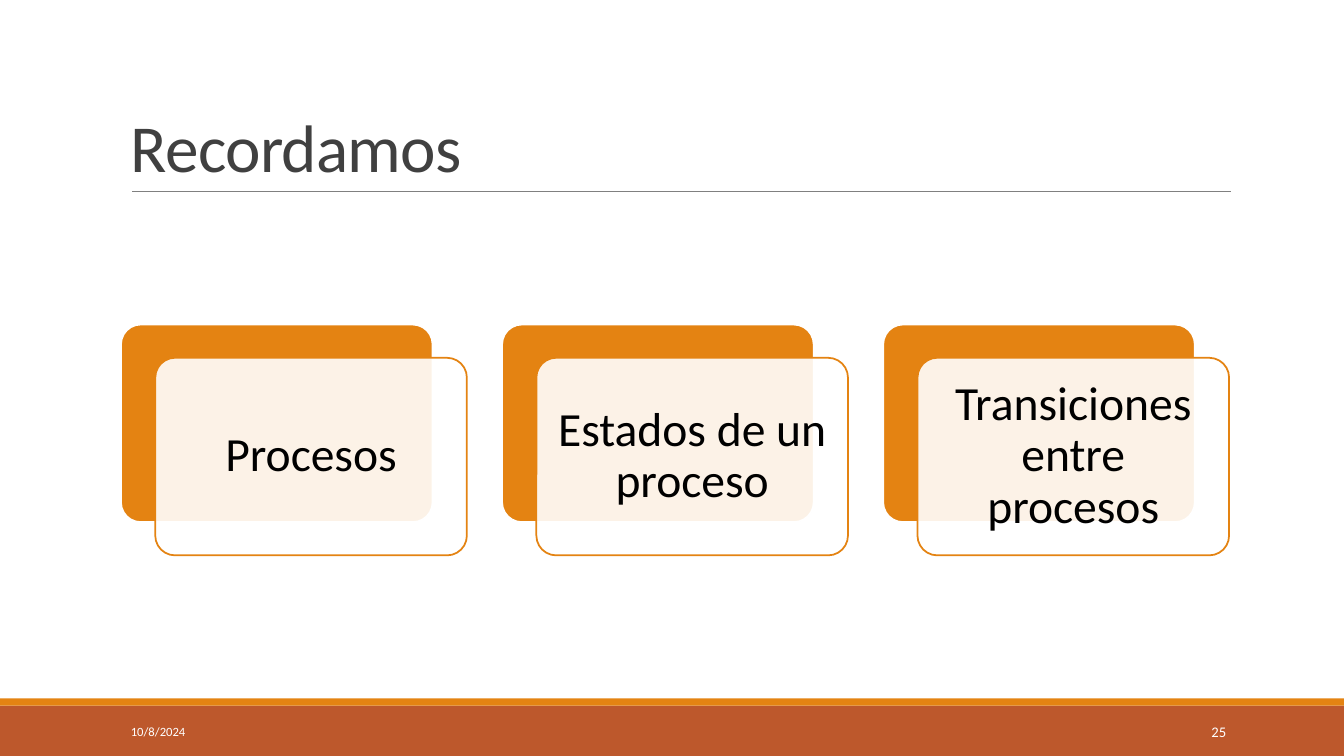
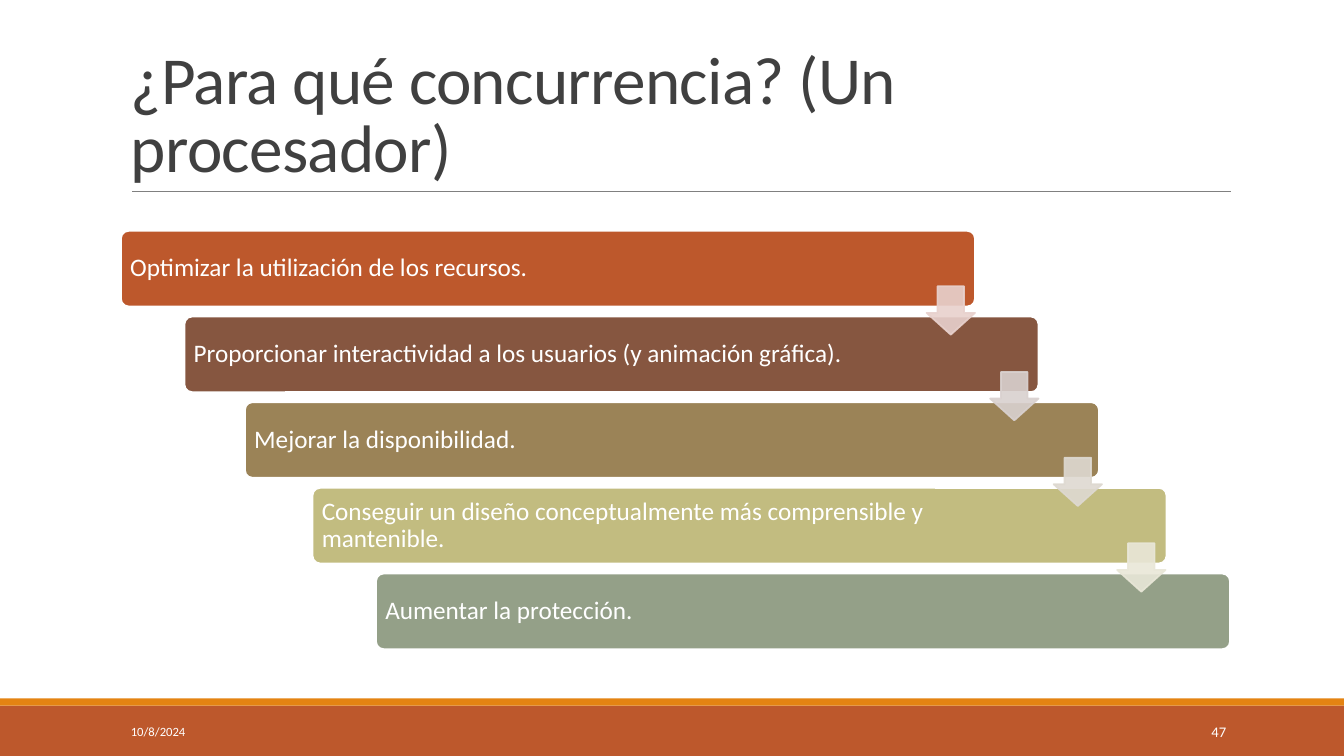
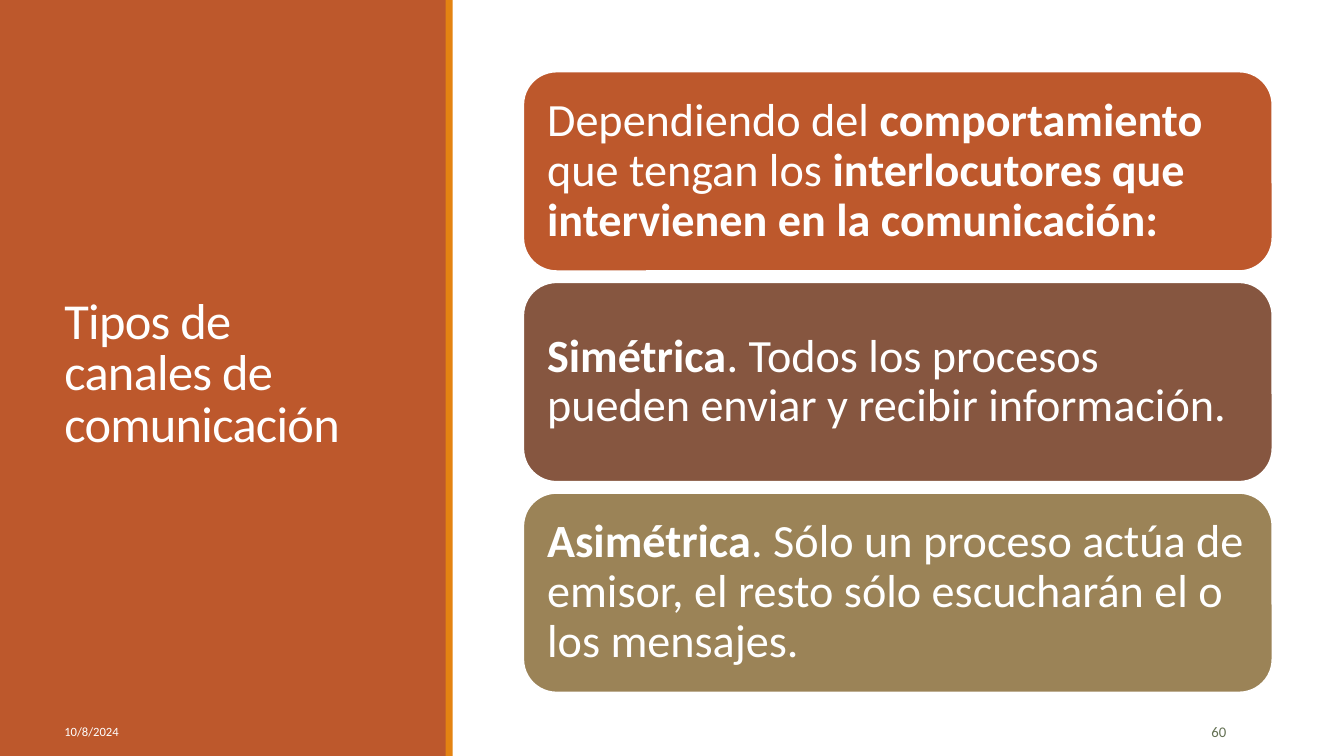
from dataclasses import dataclass

from lxml import etree
from pptx import Presentation
from pptx.dml.color import RGBColor
from pptx.enum.shapes import MSO_CONNECTOR, MSO_SHAPE
from pptx.enum.text import MSO_ANCHOR, PP_ALIGN
from pptx.oxml.ns import qn
from pptx.util import Inches, Pt

RECTANGLE = MSO_SHAPE.RECTANGLE
ROUNDED = MSO_SHAPE.ROUNDED_RECTANGLE
DOWN_ARROW = MSO_SHAPE.DOWN_ARROW
STRAIGHT = MSO_CONNECTOR.STRAIGHT
MIDDLE, BOTTOM = MSO_ANCHOR.MIDDLE, MSO_ANCHOR.BOTTOM
LEFT, CENTER, RIGHT = PP_ALIGN.LEFT, PP_ALIGN.CENTER, PP_ALIGN.RIGHT

FONT = "Calibri"
SLIDE_WIDTH, SLIDE_HEIGHT = 13.33, 7.5
DATE = "10/8/2024"
OUTLINE = 1.25
COLORS = {
    "white": "FFFFFF",
    "black": "000000",
    "title": "404040",
    "rule": "808080",
    "page": "637052",
    "orange": "E48312",
    "rust": "BD582C",
    "brown": "865640",
    "tan": "9B8357",
    "olive": "C2BC80",
    "sage": "94A088",
    "arrow_rust": "E8D1CD",
    "arrow_brown": "D9D1CF",
    "arrow_tan": "DED9D1",
    "arrow_olive": "E9E7D8",
}


@dataclass(frozen=True)
class Box:
    left: float
    top: float
    width: float
    height: float

    def lengths(self):
        return [Inches(value) for value in (self.left, self.top, self.width, self.height)]


@dataclass(frozen=True)
class TextStyle:
    size: float
    color: str
    align: PP_ALIGN = LEFT
    anchor: MSO_ANCHOR = MIDDLE
    line_spacing: float = 1.0
    tracking: int = 0


@dataclass(frozen=True)
class Run:
    text: str
    bold: bool = False


@dataclass(frozen=True)
class Step:
    left: float
    color: str
    text: str


@dataclass(frozen=True)
class Panel:
    color: str
    runs: tuple[Run, ...]


TITLE = TextStyle(48, "title", anchor=BOTTOM, line_spacing=0.85, tracking=-50)
SIDE_TITLE = TextStyle(36, "white", line_spacing=0.85, tracking=-50)
DATE_STYLE = TextStyle(9, "white")
CARD_STYLE = TextStyle(34, "black", CENTER, line_spacing=0.9)
STEP_STYLE = TextStyle(18, "white", line_spacing=0.9)
PANEL_STYLE = TextStyle(33, "white", line_spacing=0.9)

TOPICS = ("Procesos", "Estados de un proceso", "Transiciones entre procesos")
STEPS = (
    Step(1.2, "rust", "Optimizar la utilización de los recursos."),
    Step(1.83, "brown", "Proporcionar interactividad a los usuarios (y animación gráfica)."),
    Step(2.43, "tan", "Mejorar la disponibilidad."),
    Step(3.1, "olive", "Conseguir un diseño conceptualmente más comprensible y mantenible."),
    Step(3.73, "sage", "Aumentar la protección."),
)
ARROW_COLORS = ("arrow_rust", "arrow_brown", "arrow_tan", "arrow_olive")
PANELS = (
    Panel("rust", (
        Run("Dependiendo del "),
        Run("comportamiento ", True),
        Run("que tengan los "),
        Run("interlocutores que intervienen en la comunicación:", True),
    )),
    Panel("brown", (
        Run("Simétrica", True),
        Run(". Todos los procesos pueden enviar y recibir información."),
    )),
    Panel("tan", (
        Run("Asimétrica", True),
        Run(". Sólo un proceso actúa de emisor, el resto sólo escucharán el o los mensajes."),
    )),
)


def rgb(name: str) -> RGBColor:
    return RGBColor.from_string(COLORS[name])


def write(shape, runs: tuple[Run, ...], style: TextStyle, insets=(0.1, 0.05, 0.1, 0.05)) -> None:
    """Fill a shape with one paragraph; insets are left, top, right, bottom."""
    text_frame = shape.text_frame
    text_frame.word_wrap = True
    text_frame.vertical_anchor = style.anchor
    (text_frame.margin_left, text_frame.margin_top,
     text_frame.margin_right, text_frame.margin_bottom) = map(Inches, insets)
    paragraph = text_frame.paragraphs[0]
    paragraph.alignment = style.align
    paragraph.line_spacing = style.line_spacing
    for part in runs:
        run = paragraph.add_run()
        run.text = part.text
        run.font.name = FONT
        run.font.size = Pt(style.size)
        run.font.bold = part.bold
        run.font.color.rgb = rgb(style.color)
        if style.tracking:
            run.font._element.set("spc", str(style.tracking))


def add_text(slide, box: Box, text: str, style: TextStyle) -> None:
    write(slide.shapes.add_textbox(*box.lengths()), (Run(text),), style)


def set_opacity(shape, percent: int) -> None:
    """Apply one opacity to every solid colour of the shape."""
    for color in shape._element.spPr.iter(qn("a:srgbClr")):
        etree.SubElement(color, qn("a:alpha"), val=str(percent * 1000))


def add_block(slide, kind, box: Box, fill: str, line: str | None = None, adjustments=()):
    shape = slide.shapes.add_shape(kind, *box.lengths())
    shape.shadow.inherit = False
    shape.fill.solid()
    shape.fill.fore_color.rgb = rgb(fill)
    if line:
        shape.line.color.rgb = rgb(line)
        shape.line.width = Pt(OUTLINE)
    else:
        shape.line.fill.background()
    for index, value in enumerate(adjustments):
        shape.adjustments[index] = value
    return shape


def add_footer(slide, date_left: float, page: int, page_color: str) -> None:
    add_text(slide, Box(date_left, 7.06, 1.9, 0.4), DATE, DATE_STYLE)
    add_text(slide, Box(10.83, 7.06, 1.43, 0.4), str(page), TextStyle(10.5, page_color, RIGHT))


def add_slide(presentation):
    return presentation.slides.add_slide(presentation.slide_layouts[6])


def add_content_slide(presentation, title: str, page: int):
    """Add a slide with a title over a thin rule and a footer band."""
    slide = add_slide(presentation)
    add_block(slide, RECTANGLE, Box(0, 7, SLIDE_WIDTH, 0.5), "rust")
    add_block(slide, RECTANGLE, Box(0, 6.93, SLIDE_WIDTH, 0.07), "orange")
    rule = slide.shapes.add_connector(
        STRAIGHT, Inches(1.31), Inches(1.9), Inches(12.21), Inches(1.9))
    rule.line.color.rgb = rgb("rule")
    rule.line.width = Pt(0.5)
    etree.SubElement(rule._element.spPr, qn("a:effectLst"))
    add_text(slide, Box(1.2, 0.31, 11, 1.59), title, TITLE)
    add_footer(slide, 1.2, page, "white")
    return slide


def build_recap(presentation) -> None:
    slide = add_content_slide(presentation, "Recordamos", 25)
    for index, topic in enumerate(TOPICS):
        left = 1.2 + 3.78 * index
        add_block(slide, ROUNDED, Box(left, 3.22, 3.09, 1.96), "orange", "white", (0.1,))
        card = add_block(slide, ROUNDED, Box(left + 0.34, 3.55, 3.09, 1.96),
                         "white", "orange", (0.1,))
        card.fill.fore_color.rgb = rgb("white")
        set_opacity_of_fill = card._element.spPr.find(qn("a:solidFill"))[0]
        etree.SubElement(set_opacity_of_fill, qn("a:alpha"), val="90000")
        write(card, (Run(topic),), CARD_STYLE, (0.14,) * 4)


def build_reasons(presentation) -> None:
    slide = add_content_slide(presentation, "¿Para qué concurrencia? (Un procesador)", 47)
    pitch = 0.85
    for index, step in enumerate(STEPS):
        bar = add_block(slide, ROUNDED, Box(step.left, 2.29 + pitch * index, 8.47, 0.75),
                        step.color, "white", (0.1,))
        write(bar, (Run(step.text),), STEP_STYLE, (0.07, 0.07, 1.19, 0.07))
    for index, color in enumerate(ARROW_COLORS):
        arrow = add_block(slide, DOWN_ARROW,
                          Box(9.19 + 0.63 * index, 2.84 + pitch * index, 0.48, 0.48),
                          color, color, (0.55, 0.45))
        set_opacity(arrow, 90)


def build_channels(presentation) -> None:
    slide = add_slide(presentation)
    add_block(slide, RECTANGLE, Box(0, 0, 4.43, SLIDE_HEIGHT), "rust")
    add_block(slide, RECTANGLE, Box(4.42, 0, 0.07, SLIDE_HEIGHT), "orange")
    add_text(slide, Box(0.54, 0.57, 3.37, 6.31), "Tipos de canales de comunicación", SIDE_TITLE)
    add_footer(slide, 0.54, 60, "page")
    for index, panel in enumerate(PANELS):
        shape = add_block(slide, ROUNDED, Box(5.19, 0.71 + 2.09 * index, 7.43, 1.98),
                          panel.color, "white")
        write(shape, panel.runs, PANEL_STYLE, (0.14,) * 4)


def main() -> None:
    presentation = Presentation()
    presentation.slide_width = Inches(SLIDE_WIDTH)
    presentation.slide_height = Inches(SLIDE_HEIGHT)
    build_recap(presentation)
    build_reasons(presentation)
    build_channels(presentation)
    presentation.save("out.pptx")


if __name__ == "__main__":
    main()
